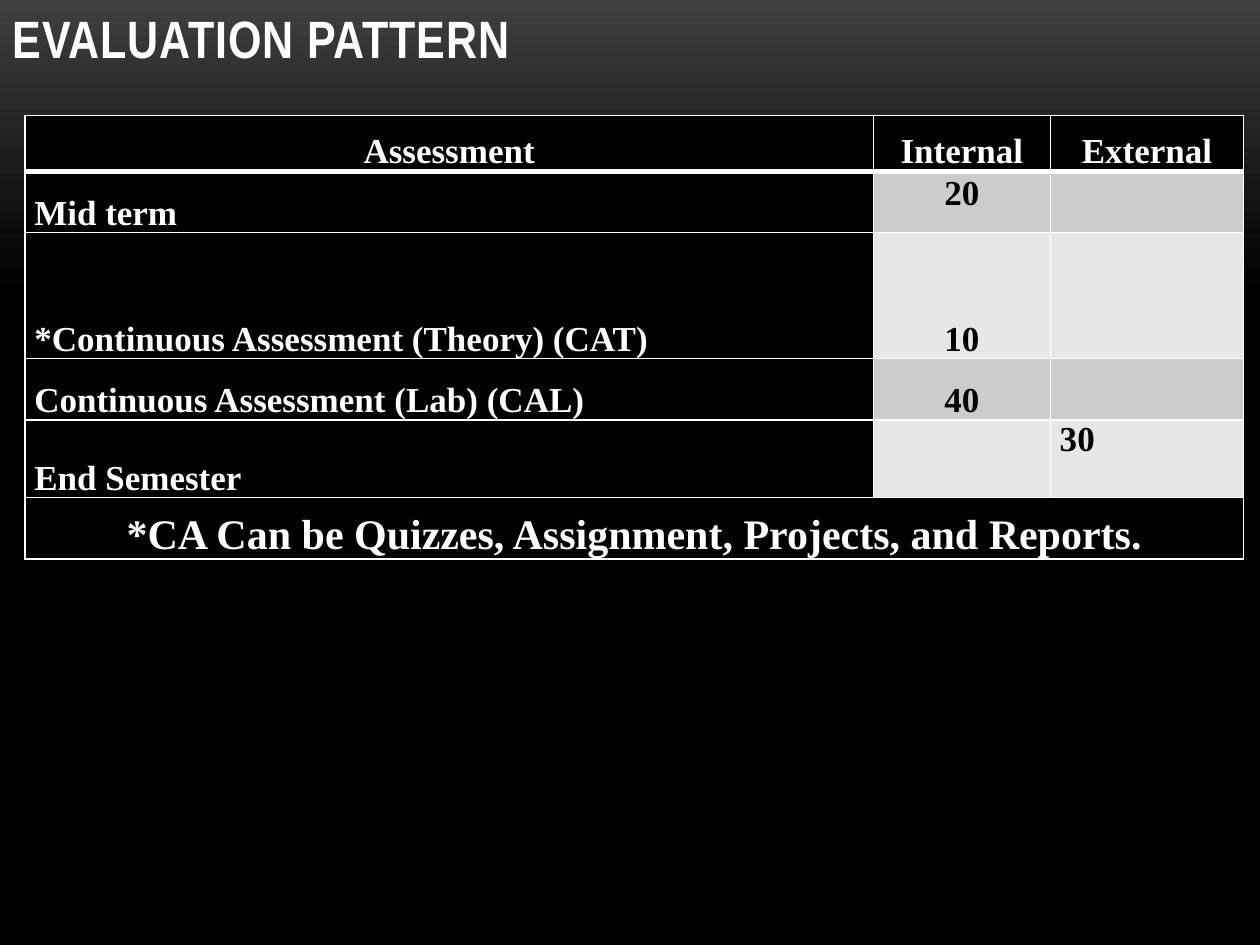
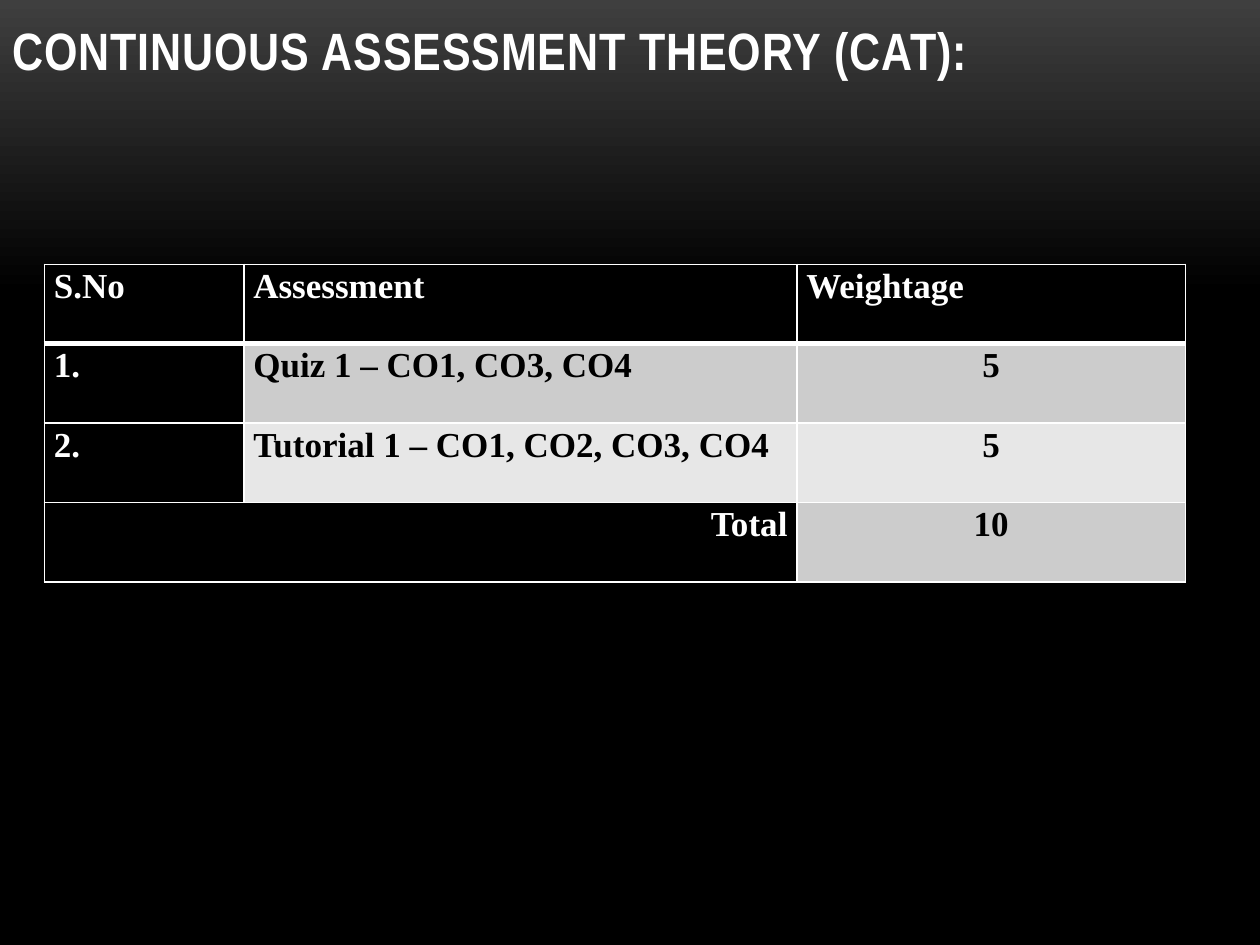
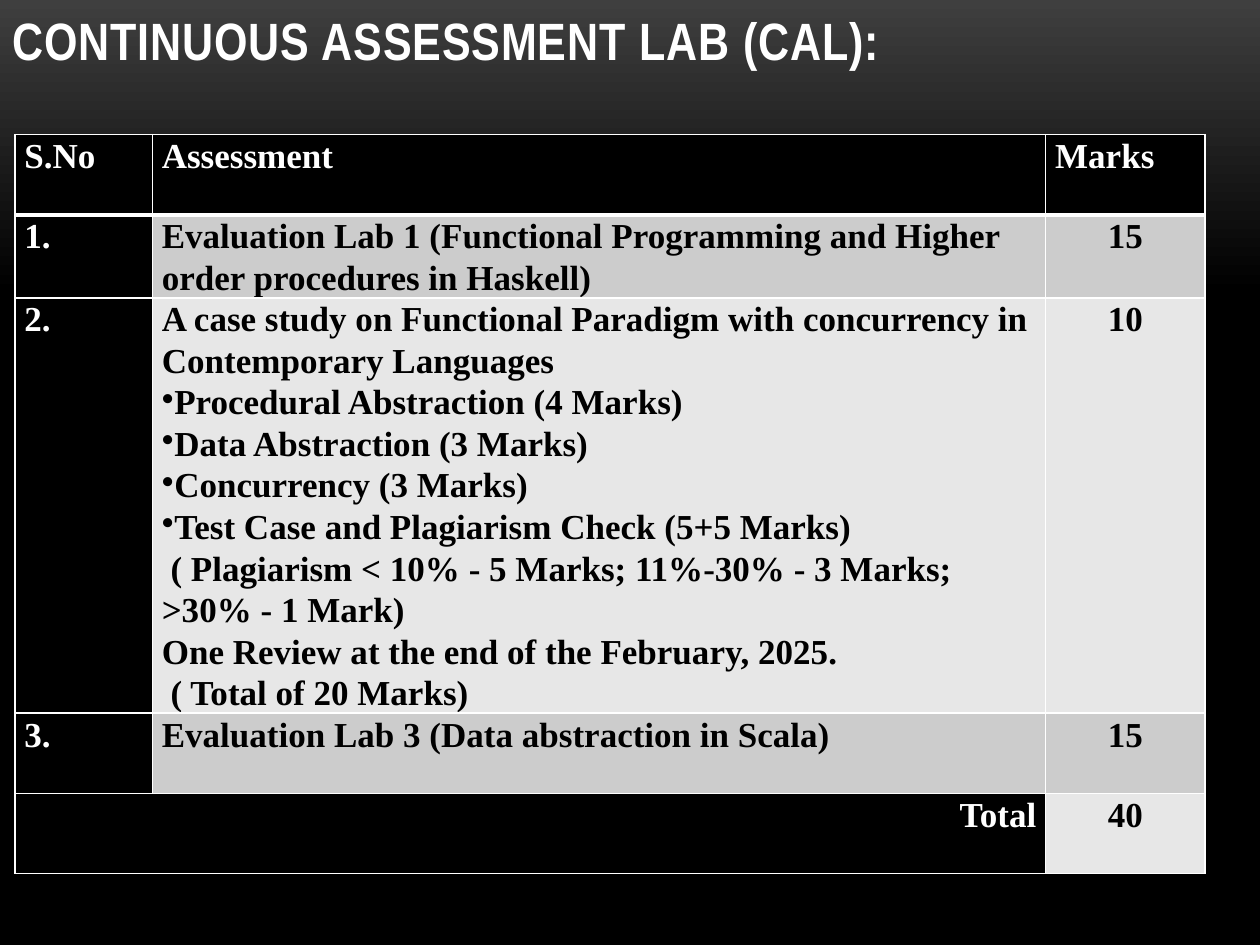
from copy import deepcopy

from pptx import Presentation
from pptx.dml.color import RGBColor
from pptx.enum import text as t
from pptx.oxml import parse_xml
from pptx.oxml.ns import nsdecls
from pptx.util import Pt

COLOURS = {"ink": "000000", "paper": "FFFFFF", "glow": "3F3F3F",
           "odd": "CCCCCC", "even": "E7E7E7"}
LEFT, CENTRE, RIGHT = t.PP_ALIGN.LEFT, t.PP_ALIGN.CENTER, t.PP_ALIGN.RIGHT
TOP, BOTTOM = t.MSO_ANCHOR.TOP, t.MSO_ANCHOR.BOTTOM
TITLE_FONT = {"name": "Arial Narrow", "size": Pt(30), "bold": True}
TABLE_FONT = {"name": "Times New Roman", "size": Pt(20), "bold": True}
BACKGROUND = [(0, "glow"), (0.31, "ink"), (1, "ink")]
BULLET = "• "

CASE_STUDY = [
    "A case study on Functional Paradigm with concurrency in Contemporary Languages",
    BULLET + "Procedural Abstraction (4 Marks)",
    BULLET + "Data Abstraction (3 Marks)",
    BULLET + "Concurrency (3 Marks)",
    BULLET + "Test Case and Plagiarism Check (5+5 Marks)",
    " ( Plagiarism < 10% - 5 Marks; 11%-30% - 3 Marks; >30% - 1 Mark)",
    "One Review at the end of the February, 2025.",
    " ( Total of 20 Marks)",
]

# Lengths in points; "merge" is (row, last column); "cells" holds exceptions
SLIDES = [
    {"title": "EVALUATION PATTERN", "title_top": -0.7, "title_height": 44,
     "at": (14.2, 66), "columns": [485, 101, 110.5],
     "heights": [32, 35, 72, 35, 44.5, 35],
     "anchor": BOTTOM, "header": CENTRE, "merge": (5, 2),
     "rows": [["Assessment", "Internal", "External"],
              ["Mid term", "20", ""],
              ["*Continuous Assessment (Theory) (CAT)", "10", ""],
              ["Continuous Assessment (Lab) (CAL)", "40", ""],
              ["End Semester", "", "30"],
              ["*CA Can be Quizzes, Assignment, Projects, and Reports."]],
     "cells": {(1, 1): {"anchor": TOP},
               (4, 2): {"anchor": TOP, "align": LEFT, "spacing": 1},
               (5, 0): {"align": CENTRE, "size": Pt(24)}}},
    {"title": "CONTINUOUS ASSESSMENT THEORY (CAT):", "title_top": 0, "title_height": 50,
     "at": (25.4, 151), "columns": [114, 316, 222], "heights": [45.4] * 4,
     "anchor": TOP, "header": LEFT, "merge": (3, 1),
     "rows": [["S.No", "Assessment", "Weightage"],
              ["1.", "Quiz 1 – CO1, CO3, CO4", "5"],
              ["2.", "Tutorial 1 – CO1, CO2, CO3, CO4", "5"],
              ["Total", "", "10"]],
     "cells": {(3, 0): {"align": RIGHT}}},
    {"title": "CONTINUOUS ASSESSMENT LAB (CAL):", "title_top": 0, "title_height": 44,
     "at": (8.6, 77), "columns": [78.5, 510.5, 91],
     "heights": [45.8, 47.4, 237.2, 45.8, 45.8],
     "anchor": TOP, "header": LEFT, "merge": (4, 1),
     "rows": [["S.No", "Assessment", "Marks"],
              ["1.", "Evaluation Lab 1 (Functional Programming and Higher order "
                     "procedures in Haskell)", "15"],
              ["2.", CASE_STUDY, "10"],
              ["3.", "Evaluation Lab 3 (Data abstraction in Scala)", "15"],
              ["Total", "", "40"]],
     "cells": {(4, 0): {"align": RIGHT}}},
]


def colour(name):
    return RGBColor.from_string(COLOURS[name])


def set_all(target, values):
    for name, value in values.items():
        setattr(target, name, value)


def paint_background(master):
    fill = master.background.fill
    fill.gradient()
    fill.gradient_angle = 270
    first = fill.gradient_stops[0]
    first._gs.addnext(deepcopy(first._gs))
    for stop, (position, name) in zip(fill.gradient_stops, BACKGROUND):
        stop.position = position
        stop.color.rgb = colour(name)


def add_title(slide, content):
    box = slide.shapes.title
    set_all(box, {"left": 0, "top": Pt(content["title_top"]), "width": Pt(624),
                  "height": Pt(content["title_height"])})
    set_all(box.text_frame, {"text": content["title"], "word_wrap": True,
                             "auto_size": t.MSO_AUTO_SIZE.NONE,
                             "vertical_anchor": BOTTOM})
    para = box.text_frame.paragraphs[0]
    para.alignment = LEFT
    span = para.runs[0]
    set_all(span.font, TITLE_FONT)
    span.font.color.rgb = colour("paper")
    span.font._element.set("spc", "50")


def add_borders(cell, row):
    """White rules, with a heavy one between header and body."""
    widths = {"L": 1, "R": 1, "T": 3 if row == 1 else 1, "B": 3 if row == 0 else 1}
    properties = cell._tc.get_or_add_tcPr()
    for side, width in widths.items():
        properties.append(parse_xml(
            f'<a:ln{side} {nsdecls("a")} w="{Pt(width)}"><a:solidFill>'
            f'<a:srgbClr val="{COLOURS["paper"]}"/></a:solidFill></a:ln{side}>'))


def write_cell(cell, lines, align, ink, size, spacing):
    frame = cell.text_frame
    for index, line in enumerate(lines):
        para = frame.add_paragraph() if index else frame.paragraphs[0]
        set_all(para, {"alignment": align, "line_spacing": spacing})
        if line.startswith(BULLET):
            properties = para._p.get_or_add_pPr()
            set_indent = {"marL": "0", "indent": "0"}
            for name, value in set_indent.items():
                properties.set(name, value)
            properties.append(parse_xml(f'<a:buChar {nsdecls("a")} char="{BULLET.strip()}"/>'))
        span = para.add_run()
        span.text = line.removeprefix(BULLET)
        set_all(span.font, TABLE_FONT | {"size": size})
        span.font.color.rgb = colour(ink)


def add_marks_table(slide, content):
    columns, heights = content["columns"], content["heights"]
    table = slide.shapes.add_table(
        len(heights), len(columns), *map(Pt, content["at"]),
        Pt(sum(columns)), Pt(sum(heights))).table
    for column, width in zip(table.columns, columns):
        column.width = Pt(width)
    for row, height in zip(table.rows, heights):
        row.height = Pt(height)
    merge_row, last_column = content["merge"]
    table.cell(merge_row, 0).merge(table.cell(merge_row, last_column))

    for r, row in enumerate(content["rows"]):
        for c in range(len(columns)):
            cell, value = table.cell(r, c), row[c] if c < len(row) else ""
            special = content["cells"].get((r, c), {})
            dark = r == 0 or c == 0
            set_all(cell, {"margin_left": Pt(5.4), "margin_right": Pt(5.4),
                           "margin_top": 0, "margin_bottom": 0,
                           "vertical_anchor": special.get("anchor", content["anchor"])})
            add_borders(cell, r)
            cell.fill.solid()
            cell.fill.fore_color.rgb = colour("ink" if dark else "odd" if r % 2 else "even")
            if value:
                lines = [value] if isinstance(value, str) else value
                usual = content["header"] if r == 0 else CENTRE if lines[0].isdigit() else LEFT
                write_cell(cell, lines, special.get("align", usual),
                           "paper" if dark else "ink",
                           special.get("size", TABLE_FONT["size"]),
                           special.get("spacing", 1.07))


def main():
    deck = Presentation()
    set_all(deck, {"slide_width": Pt(720), "slide_height": Pt(540)})
    paint_background(deck.slide_master)
    for content in SLIDES:
        slide = deck.slides.add_slide(deck.slide_layouts.get_by_name("Title Only"))
        add_title(slide, content)
        add_marks_table(slide, content)
    deck.save("out.pptx")


if __name__ == "__main__":
    main()
